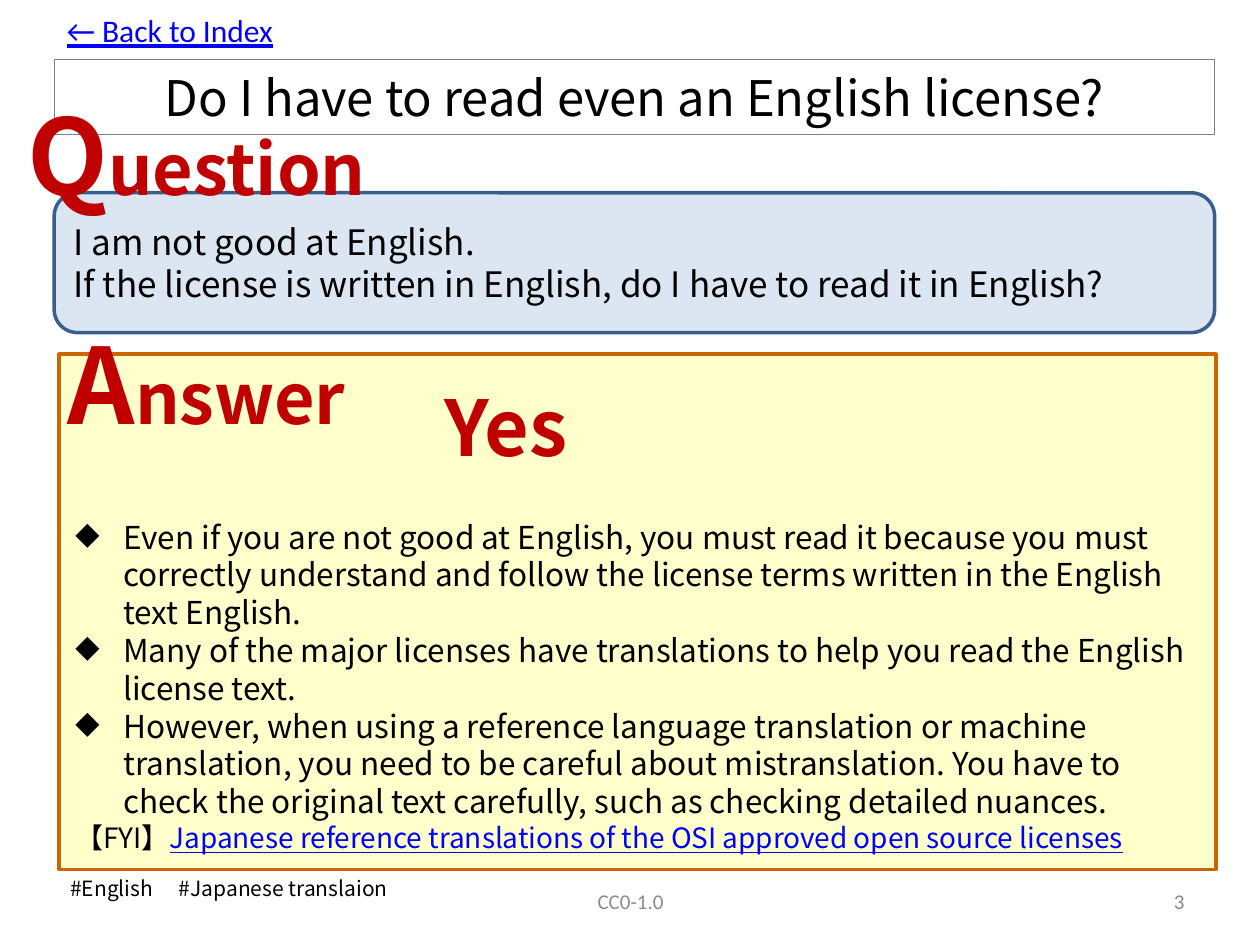
"""Build the question-and-answer slide about reading English licenses."""
from lxml import etree
from pptx import Presentation
from pptx import util as u
from pptx.dml.color import RGBColor
from pptx.enum import shapes, text
from pptx.oxml.ns import qn

COLORS = {"ink": "000000", "accent": "C00000", "link": "0000FF", "muted": "8C8C8C",
          "title_line": "808080", "question": "DCE6F2", "question_line": "3A5F8C",
          "answer": "FFFFCC", "answer_line": "CC6600"}
SANS, FOOTER = "Noto Sans CJK JP", "Calibri"

TITLE = "Do I have to read even an English license?"
QUESTION = ["I am not good at English.",
            "If the license is written in English, do I have to read it in English?"]
ANSWER = [
    "Even if you are not good at English, you must read it because you must correctly "
    "understand and follow the license terms written in the English text English.",
    "Many of the major licenses have translations to help you read the English license text.",
    "However, when using a reference language translation or machine translation, you need "
    "to be careful about mistranslation. You have to check the original text carefully, "
    "such as checking detailed nuances."]
FYI = ("【FYI】", "Japanese reference translations of the OSI approved open source licenses")
HEADINGS = [("Question", (0.12, 0.67, 3.07, 1.11)), ("Answer", (0.44, 2.49, 2.63, 1.11))]
LABELS = [
    ("Yes", (3.43, 2.96, 4.09, 0.84), dict(size=44, color="accent", bold=True)),
    ("#English \u3000#Japanese translaion".replace("\u3000", "　"), (0.46, 6.9, 2.84, 0.3),
     dict(size=12, wrap=False)),
    ("← Back to Index", (0.43, 0.04, 1.86, 0.4),
     dict(size=18, color="link", face=FOOTER, underline=True, wrap=False)),
    ("CC0-1.0", (3.42, 6.95, 3.17, 0.4),
     dict(size=12, color="muted", face=FOOTER, align="CENTER", anchor="MIDDLE")),
    ("3", (7.17, 6.95, 2.33, 0.4),
     dict(size=12, color="muted", face=FOOTER, align="RIGHT", anchor="MIDDLE"))]


def rgb(name):
    return RGBColor.from_string(COLORS[name])


def style(font, size, color="ink", face=SANS, bold=None, underline=None):
    font.size, font.name, font.bold, font.underline = u.Pt(size), face, bold, underline
    font.color.rgb = rgb(color)


def write(frame, lines, size, align="LEFT", anchor="TOP", wrap=True, **look):
    frame.word_wrap = wrap
    frame.vertical_anchor = text.MSO_ANCHOR[anchor]
    frame.text = "\n".join(lines)
    for paragraph in frame.paragraphs:
        paragraph.alignment = text.PP_ALIGN[align]
        style(paragraph.font, size, **look)


def add_panel(slide, kind, place, line, width, fill=None):
    panel = slide.shapes.add_shape(kind, *map(u.Inches, place))
    panel.shadow.inherit = False
    if fill:
        panel.fill.solid()
        panel.fill.fore_color.rgb = rgb(fill)
    else:
        panel.fill.background()
    panel.line.color.rgb = rgb(line)
    panel.line.width = u.Pt(width)
    return panel.text_frame


def add_frame(slide, place):
    return slide.shapes.add_textbox(*map(u.Inches, place)).text_frame


def add_bullet(paragraph):
    properties = paragraph._p.get_or_add_pPr()
    properties.set("marL", str(u.Inches(0.38)))
    properties.set("indent", str(u.Inches(-0.38)))
    etree.SubElement(properties, qn("a:buChar"), char="◆")


def add_answer(slide):
    frame = add_frame(slide, (0.5, 4.06, 9.07, 2.83))
    frame.word_wrap = True
    frame.text = "\n".join(ANSWER)
    for paragraph in frame.paragraphs:
        add_bullet(paragraph)
        style(paragraph.font, 18)
    fyi = frame.add_paragraph()
    for words, look in zip(FYI, ({}, dict(color="link", underline=True))):
        run = fyi.add_run()
        run.text = words
        style(run.font, 16, **look)


def add_heading(slide, word, place):
    frame = add_frame(slide, place)
    frame.word_wrap = False
    for letters, size in ((word[0], 60), (word[1:], 40)):
        run = frame.paragraphs[0].add_run()
        run.text = letters
        style(run.font, size, "accent", bold=True)


def main():
    deck = Presentation()
    deck.slide_width, deck.slide_height = u.Inches(10), u.Inches(7.5)
    slide = deck.slides.add_slide(deck.slide_layouts[6])
    box = shapes.MSO_SHAPE
    add_panel(slide, box.RECTANGLE, (0.47, 2.81, 9.18, 4.09), "answer_line", 2, "answer")
    title = add_panel(slide, box.RECTANGLE, (0.43, 0.47, 9.21, 0.6), "title_line", 0.75)
    write(title, [TITLE], 28, align="CENTER", anchor="MIDDLE")
    add_answer(slide)
    question = add_panel(slide, box.ROUNDED_RECTANGLE, (0.43, 1.53, 9.21, 1.11),
                         "question_line", 2, "question")
    write(question, QUESTION, 20, anchor="MIDDLE")
    for word, place in HEADINGS:
        add_heading(slide, word, place)
    for words, place, look in LABELS:
        write(add_frame(slide, place), [words], **look)
    deck.save("out.pptx")


if __name__ == "__main__":
    main()
